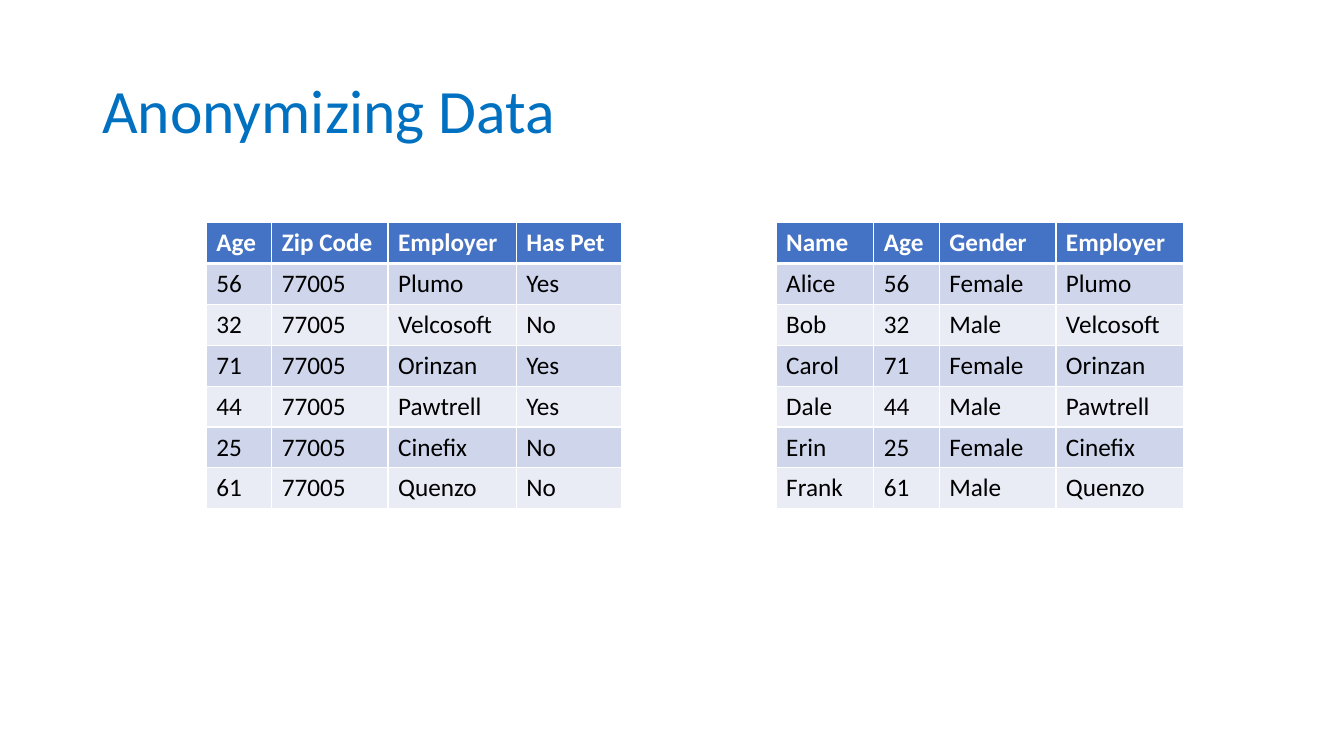
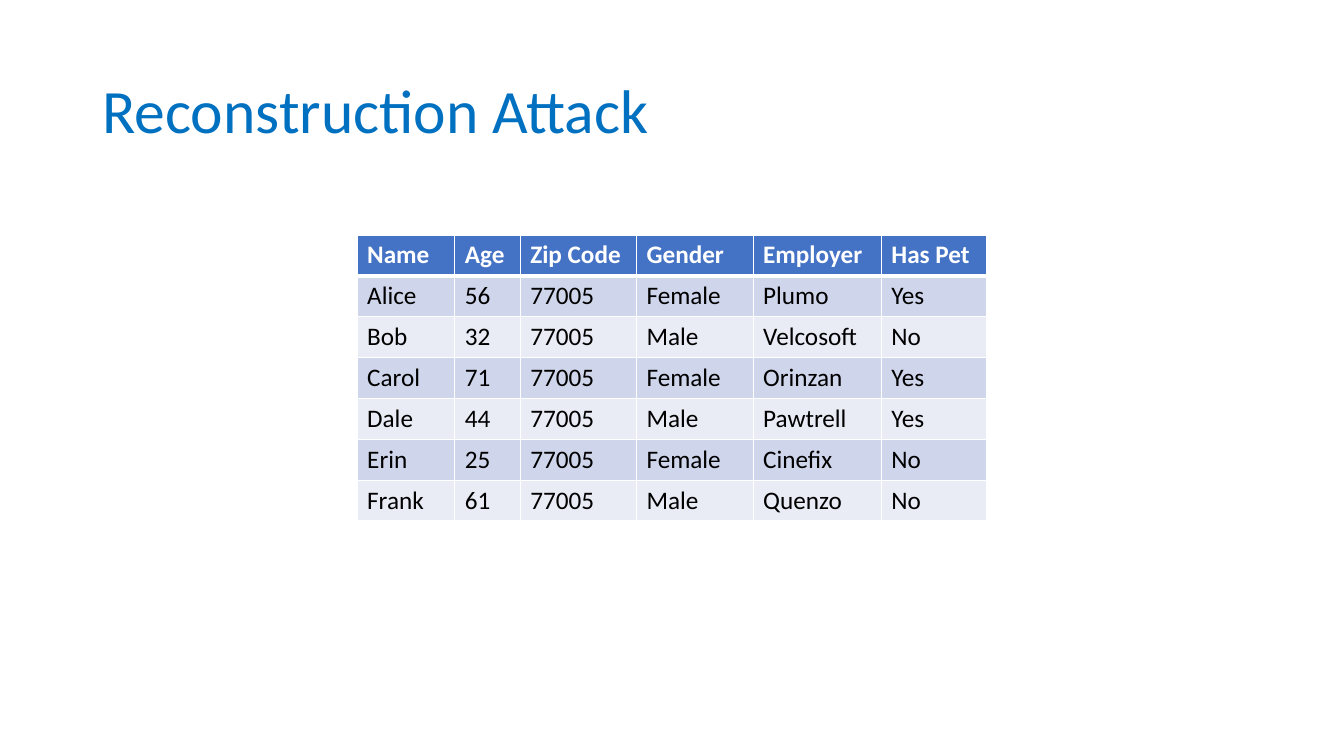
from lxml import etree
from pptx import Presentation
from pptx.dml.color import RGBColor
from pptx.enum.text import MSO_ANCHOR
from pptx.oxml.ns import qn
from pptx.util import Cm, Pt

MIDDLE = MSO_ANCHOR.MIDDLE
FONT = "Calibri"
COLORS = {
    "title": "0070C0",
    "header": "4472C4",
    "odd": "CFD5EA",
    "even": "E9EBF5",
    "white": "FFFFFF",
    "black": "000000",
}
TITLE_BOX = (2.33, 1.01, 29.21, 3.68)
ROW_HEIGHT = 1.03
WIDTHS = {
    "Name": 2.46,
    "Age": 1.65,
    "Zip Code": 2.93,
    "Gender": 2.94,
    "Employer": 3.23,
    "Has Pet": 2.66,
}
PEOPLE = [
    dict(zip(WIDTHS, row))
    for row in [
        ("Alice", "56", "77005", "Female", "Plumo", "Yes"),
        ("Bob", "32", "77005", "Male", "Velcosoft", "No"),
        ("Carol", "71", "77005", "Female", "Orinzan", "Yes"),
        ("Dale", "44", "77005", "Male", "Pawtrell", "Yes"),
        ("Erin", "25", "77005", "Female", "Cinefix", "No"),
        ("Frank", "61", "77005", "Male", "Quenzo", "No"),
    ]
]


def rgb(name):
    return RGBColor.from_string(COLORS[name])


def write(tf, text, size=18, color="black", bold=False, spacing=None):
    p = tf.paragraphs[0]
    p.line_spacing = spacing
    r = p.add_run()
    r.text = text
    r.font.name = FONT
    r.font.size = Pt(size)
    r.font.bold = bold
    r.font.color.rgb = rgb(color)


def add_title(s, text, box):
    tf = s.shapes.add_textbox(*map(Cm, box)).text_frame
    tf.word_wrap = True
    tf.vertical_anchor = MIDDLE
    write(tf, text, size=44, color="title", spacing=0.9)


def add_borders(cell, top=1, bottom=1):
    tc_pr = cell._tc.get_or_add_tcPr()
    for side, width in (("L", 1), ("R", 1), ("T", top), ("B", bottom)):
        ln = etree.SubElement(tc_pr, qn(f"a:ln{side}"), w=str(Pt(width)))
        fill = etree.SubElement(ln, qn("a:solidFill"))
        etree.SubElement(fill, qn("a:srgbClr"), val=COLORS["white"])


def add_people_table(s, left, top, columns):
    rows = [columns] + [[person[c] for c in columns] for person in PEOPLE]
    width = sum(WIDTHS[c] for c in columns)
    table = s.shapes.add_table(
        len(rows), len(columns), Cm(left), Cm(top), Cm(width), Cm(ROW_HEIGHT * len(rows))
    ).table
    for col, name in zip(table.columns, columns):
        col.width = Cm(WIDTHS[name])
    for i, row in enumerate(rows):
        table.rows[i].height = Cm(ROW_HEIGHT)
        header = i == 0
        band = "header" if header else "odd" if i % 2 else "even"
        for j, text in enumerate(row):
            cell = table.cell(i, j)
            add_borders(cell, top=3 if i == 1 else 1, bottom=3 if header else 1)
            cell.fill.solid()
            cell.fill.fore_color.rgb = rgb(band)
            write(cell.text_frame, text, color="white" if header else "black", bold=header)


def add_table_slide(prs, title, tables):
    s = prs.slides.add_slide(prs.slide_layouts[6])
    add_title(s, title, TITLE_BOX)
    for left, top, columns in tables:
        add_people_table(s, left, top, columns)


def main():
    prs = Presentation()
    prs.slide_width, prs.slide_height = Cm(33.87), Cm(19.05)
    add_table_slide(prs, "Anonymizing Data", [
        (5.2, 5.61, ["Age", "Zip Code", "Employer", "Has Pet"]),
        (19.56, 5.61, ["Name", "Age", "Gender", "Employer"]),
    ])
    add_table_slide(prs, "Reconstruction Attack", [(9, 5.92, list(WIDTHS))])
    prs.save("out.pptx")


if __name__ == "__main__":
    main()
